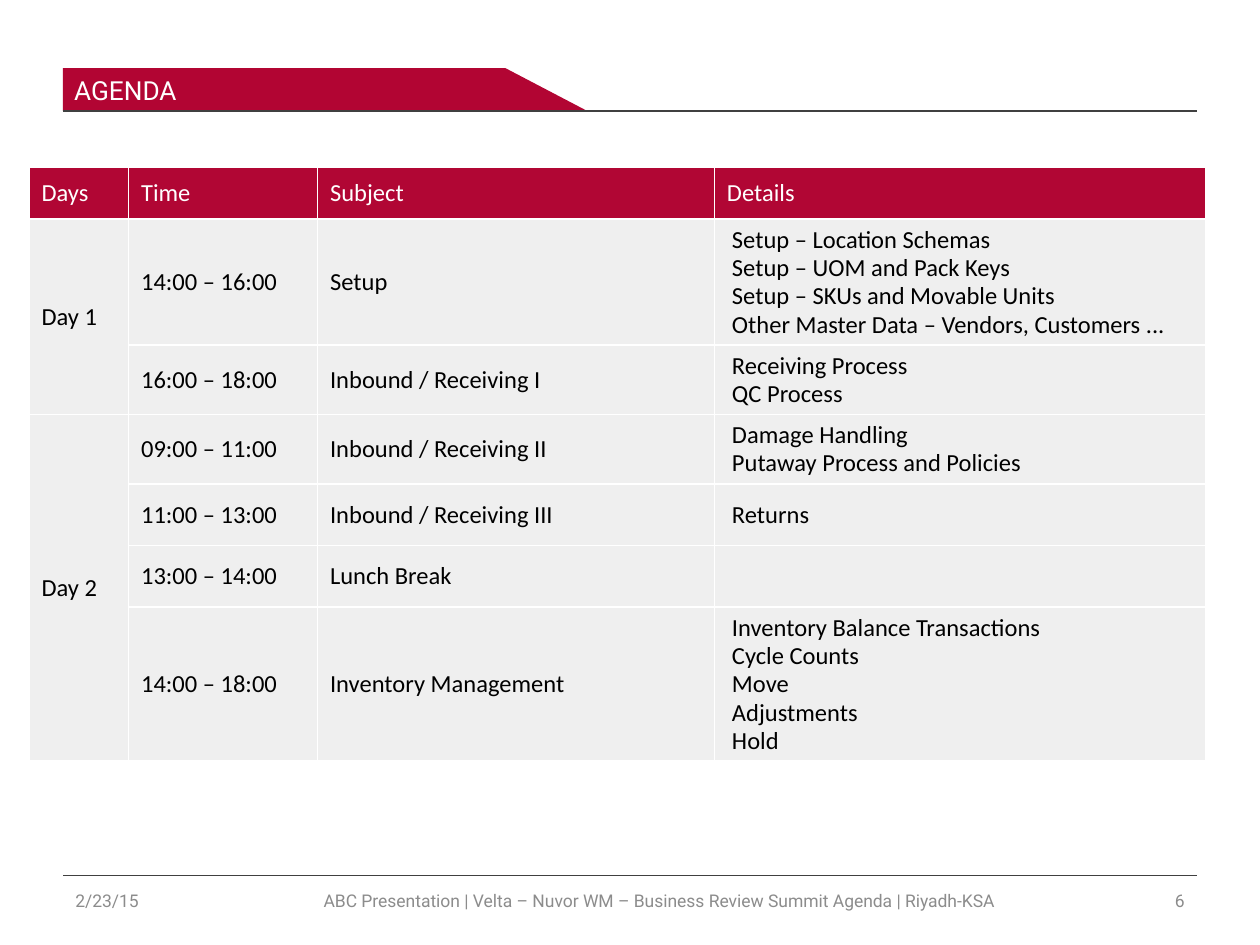
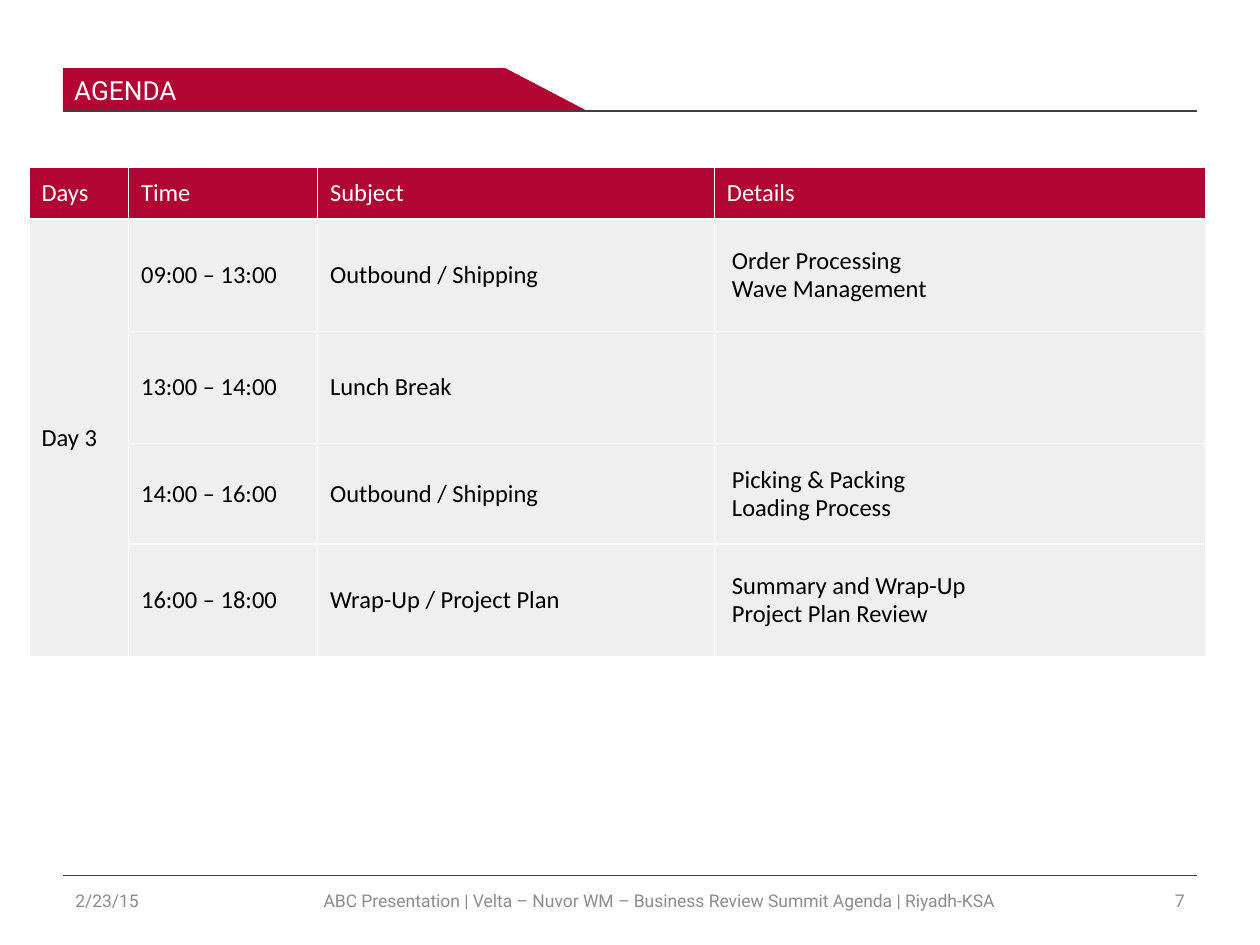
import pptx
import pptx.dml.color
import pptx.enum.shapes
import pptx.enum.text
import pptx.oxml
import pptx.oxml.ns
import pptx.util
from pptx.util import Inches

BAND_RED = "B20533"
HEADER_RED = "B10634"
CELL_GREY = "E0E0E0"
RULE_GREY = "404040"
FOOTER_GREY = "8C8C8C"
WHITE = "FFFFFF"
BLACK = "000000"

TITLE_FONT = "Roboto"
TABLE_FONT = "Calibri"
ALIGN = pptx.enum.text.PP_ALIGN
ANCHOR = pptx.enum.text.MSO_ANCHOR

DATE = "2/23/15"
FOOTER = ("ABC Presentation | Velta – Nuvor WM – Business Review Summit Agenda"
          " | Riyadh-KSA")
HEADINGS = ["Days", "Time", "Subject", "Details"]
COLUMN_WIDTHS = [0.79, 1.5, 3.15, 3.9]
HEADER_HEIGHT = 0.41

# Each session: row height, time, subject, details
FIRST_DAYS = {
    "Day 1": [
        (1.0, "14:00 – 16:00", "Setup",
         ["Setup – Location Schemas", "Setup – UOM and Pack Keys",
          "Setup – SKUs and Movable Units",
          "Other Master Data – Vendors, Customers ..."]),
        (0.55, "16:00 – 18:00", "Inbound / Receiving I",
         ["Receiving Process", "QC Process"]),
    ],
    "Day 2": [
        (0.55, "09:00 – 11:00", "Inbound / Receiving II",
         ["Damage Handling", "Putaway Process and Policies"]),
        (0.49, "11:00 – 13:00", "Inbound / Receiving III", ["Returns"]),
        (0.49, "13:00 – 14:00", "Lunch Break", []),
        (1.22, "14:00 – 18:00", "Inventory Management",
         ["Inventory Balance Transactions", "Cycle Counts", "Move",
          "Adjustments", "Hold"]),
    ],
}
LAST_DAY = {
    "Day 3": [
        (0.89, "09:00 – 13:00", "Outbound / Shipping",
         ["Order Processing", "Wave Management"]),
        (0.89, "13:00 – 14:00", "Lunch Break", []),
        (0.8, "14:00 – 16:00", "Outbound / Shipping",
         ["Picking & Packing", "Loading Process"]),
        (0.89, "16:00 – 18:00", "Wrap-Up / Project Plan",
         ["Summary and Wrap-Up", "Project Plan Review"]),
    ],
}


def rgb(color):
    return pptx.dml.color.RGBColor.from_string(color)


def set_font(paragraph, name, size, color):
    paragraph.font.name = name
    paragraph.font.size = pptx.util.Pt(size)
    paragraph.font.bold = False
    paragraph.font.color.rgb = rgb(color)


def add_rule(slide, y):
    """Draw a thin line across the slide between its margins."""
    rule = slide.shapes.add_connector(
        pptx.enum.shapes.MSO_CONNECTOR.STRAIGHT,
        Inches(0.5), Inches(y), Inches(9.5), Inches(y))
    rule.line.color.rgb = rgb(RULE_GREY)
    rule.line.width = pptx.util.Pt(0.75)
    properties = rule._element.spPr
    properties.append(pptx.oxml.parse_xml(
        f"<a:effectLst {pptx.oxml.ns.nsdecls('a')}/>"))


def add_title_band(slide):
    builder = slide.shapes.build_freeform(Inches(0.5), Inches(0.54))
    corners = [(4.01, 0.54), (4.66, 0.88), (0.5, 0.88)]
    builder.add_line_segments([(Inches(x), Inches(y)) for x, y in corners])
    band = builder.convert_to_shape()
    band.shadow.inherit = False
    band.fill.solid()
    band.fill.fore_color.rgb = rgb(BAND_RED)
    band.line.fill.background()


def add_text(slide, text, box, size, color, align=ALIGN.LEFT,
             anchor=ANCHOR.MIDDLE):
    shape = slide.shapes.add_textbox(*[Inches(length) for length in box])
    frame = shape.text_frame
    frame.word_wrap = True
    frame.vertical_anchor = anchor
    paragraph = frame.paragraphs[0]
    paragraph.text = text
    paragraph.alignment = align
    set_font(paragraph, TITLE_FONT, size, color)


def add_borders(cell):
    properties = cell._tc.get_or_add_tcPr()
    for side in ("lnL", "lnR", "lnT", "lnB"):
        properties.append(pptx.oxml.parse_xml(
            f"<a:{side} {pptx.oxml.ns.nsdecls('a')} w='12700'><a:solidFill>"
            f"<a:srgbClr val='{WHITE}'/></a:solidFill></a:{side}>"))


def fill_cell(cell, color, opacity):
    cell.fill.solid()
    cell.fill.fore_color.rgb = rgb(color)
    if opacity < 100:
        color_element = cell._tc.tcPr.find(".//" + pptx.oxml.ns.qn("a:solidFill")
                                           + "[last()]/")
        for fill in cell._tc.tcPr.findall(pptx.oxml.ns.qn("a:solidFill")):
            color_element = fill[0]
        color_element.append(pptx.oxml.parse_xml(
            f"<a:alpha {pptx.oxml.ns.nsdecls('a')} val='{opacity * 1000}'/>"))


def write_cell(cell, lines, header=False):
    cell.text = "\n".join(lines)
    cell.vertical_anchor = ANCHOR.MIDDLE
    for paragraph in cell.text_frame.paragraphs:
        paragraph.line_spacing = 0.95
        set_font(paragraph, TABLE_FONT, 14, WHITE if header else BLACK)


def add_agenda_table(slide, days):
    sessions = [session for day in days.values() for session in day]
    heights = [HEADER_HEIGHT] + [session[0] for session in sessions]
    table = slide.shapes.add_table(
        len(heights), len(HEADINGS), Inches(0.23), Inches(1.33),
        Inches(sum(COLUMN_WIDTHS)), Inches(sum(heights))).table
    table.first_row = False
    table.horz_banding = False
    for column, width in zip(table.columns, COLUMN_WIDTHS):
        column.width = Inches(width)
    for row, height in zip(table.rows, heights):
        row.height = Inches(height)
        is_header = row is table.rows[0]
    for row_index in range(len(heights)):
        for cell in table.rows[row_index].cells:
            add_borders(cell)
            if row_index == 0:
                fill_cell(cell, HEADER_RED, 100)
            else:
                fill_cell(cell, CELL_GREY, 50)

    for column_index, heading in enumerate(HEADINGS):
        write_cell(table.cell(0, column_index), [heading], header=True)
    row_index = 1
    for day, day_sessions in days.items():
        last_row = row_index + len(day_sessions) - 1
        day_cell = table.cell(row_index, 0)
        day_cell.merge(table.cell(last_row, 0))
        write_cell(day_cell, [day])
        for _, time, subject, details in day_sessions:
            write_cell(table.cell(row_index, 1), [time])
            write_cell(table.cell(row_index, 2), [subject])
            details_cell = table.cell(row_index, 3)
            write_cell(details_cell, details)
            details_cell.margin_left = Inches(0.14)
            row_index += 1


def add_agenda_slide(presentation, number, days):
    slide = presentation.slides.add_slide(presentation.slide_layouts[6])
    add_rule(slide, 6.95)
    add_title_band(slide)
    add_rule(slide, 0.88)
    add_text(slide, "AGENDA", (0.49, 0.54, 4.17, 0.34), 15, WHITE,
             anchor=ANCHOR.TOP)
    add_agenda_table(slide, days)
    add_text(slide, DATE, (0.5, 6.95, 2.33, 0.4), 10, FOOTER_GREY)
    add_text(slide, FOOTER, (2.43, 6.95, 5.6, 0.4), 10, FOOTER_GREY,
             ALIGN.CENTER)
    add_text(slide, str(number), (7.17, 6.95, 2.33, 0.4), 10, FOOTER_GREY,
             ALIGN.RIGHT)


def main():
    presentation = pptx.Presentation()
    presentation.slide_width = Inches(10)
    presentation.slide_height = Inches(7.5)
    for number, days in enumerate([FIRST_DAYS, LAST_DAY], start=6):
        add_agenda_slide(presentation, number, days)
    presentation.save("out.pptx")


if __name__ == "__main__":
    main()
